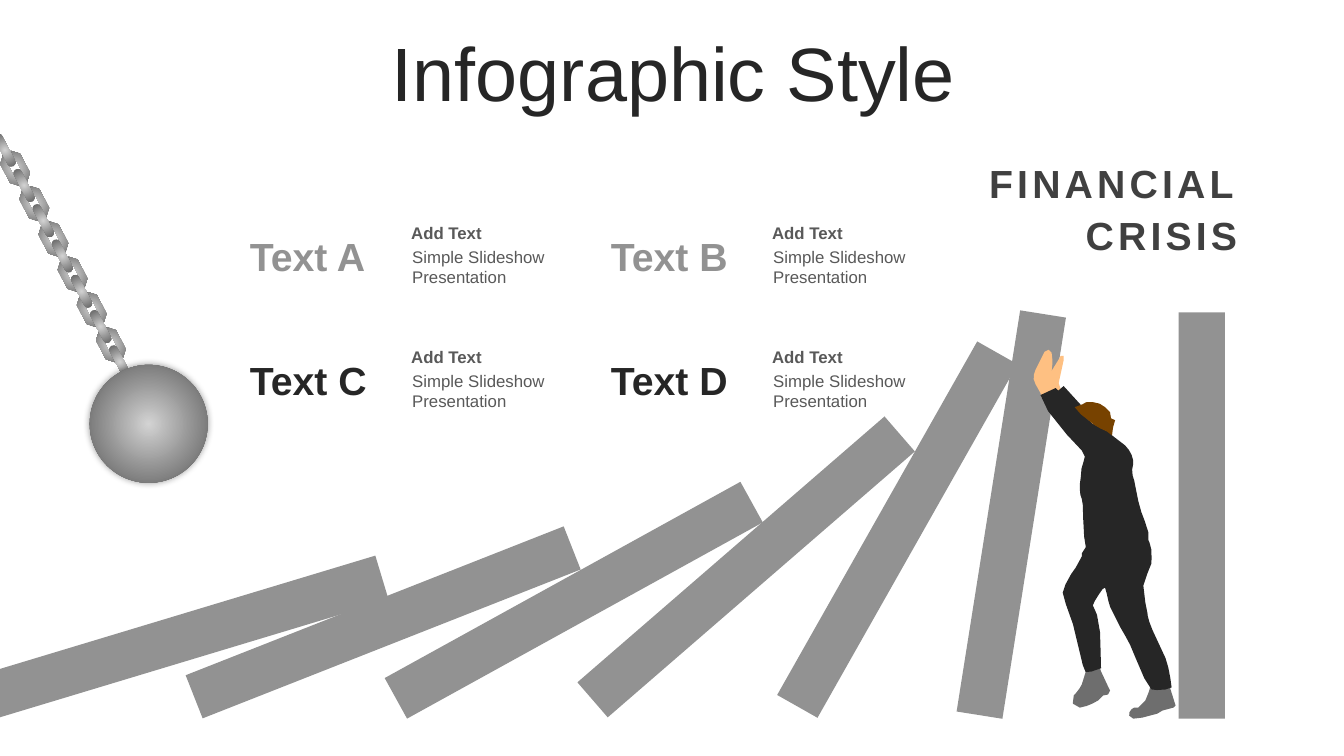
import math

import lxml.etree
import pptx
import pptx.dml.color
import pptx.enum.shapes
import pptx.enum.text
import pptx.oxml.ns
import pptx.util

Inches = pptx.util.Inches
qn = pptx.oxml.ns.qn
Kind = pptx.enum.shapes.MSO_SHAPE
Align = pptx.enum.text.PP_ALIGN
Anchor = pptx.enum.text.MSO_ANCHOR

THEME = {
    "font": "Arial",
    "grey": "929292", "dark": "262626", "body": "595959", "crisis": "404040",
    "boot": "6E6E6E", "skin": "FEC082", "hair": "774200",
    "metal": ("D3D3D3", "6E6E6E"),
    "title_size": 54, "label_size": 28, "body_size": 12,
}


def paint(shape, colour):
    """Fill with a theme colour; a pair of colours becomes a round gradient."""
    shape.shadow.inherit = False
    shape.line.fill.background()
    value = THEME[colour]
    if isinstance(value, str):
        shape.fill.solid()
        shape.fill.fore_color.rgb = pptx.dml.color.RGBColor.from_string(value)
        return
    shape.fill.gradient()
    for stop, tone, position in zip(shape.fill.gradient_stops, value, (0, 0.83)):
        stop.color.rgb = pptx.dml.color.RGBColor.from_string(tone)
        stop.position = position
    gradient = shape._element.spPr.find(qn("a:gradFill"))
    gradient.remove(gradient.find(qn("a:lin")))
    circle = lxml.etree.SubElement(gradient, qn("a:path"), path="circle")
    lxml.etree.SubElement(circle, qn("a:fillToRect"), l="50000", t="50000", r="50000", b="50000")


def write(box, words, size, colour, bold=False, anchor=Anchor.TOP, **paragraph_format):
    """Put one formatted paragraph in a box and return its run."""
    frame = box.text_frame
    frame.word_wrap = True
    frame.vertical_anchor = anchor
    paragraph = frame.paragraphs[0]
    for name, value in paragraph_format.items():
        setattr(paragraph, name, value)
    run = paragraph.add_run()
    run.text = words
    font_format = {"name": THEME["font"], "size": pptx.util.Pt(THEME[size]), "bold": bold}
    for name, value in font_format.items():
        setattr(run.font, name, value)
    run.font.color.rgb = pptx.dml.color.RGBColor.from_string(THEME[colour])
    return run


deck = pptx.Presentation()
deck.slide_width, deck.slide_height = Inches(13.33), Inches(7.5)
slide = deck.slides.add_slide(deck.slide_layouts[5])
shapes = slide.shapes

# Title
title = shapes.title
title_place = {"left": 0.35, "top": 0.37, "width": 12.66, "height": 0.79}
for name, value in title_place.items():
    setattr(title, name, Inches(value))
write(title, "Infographic Style", "title_size", "dark", anchor=Anchor.MIDDLE,
      alignment=Align.CENTER, line_spacing=0.9, space_before=0)

# Falling dominoes: left, top, tilt
DOMINO_WIDTH, DOMINO_HEIGHT = 0.46, 4.03
dominoes = [
    (9.8, 3.09, 9), (11.69, 3.1, 0), (8.67, 3.24, 29.5), (7.17, 3.61, 49.1),
    (5.46, 3.94, 61.1), (3.57, 4.16, 68.5), (1.63, 4.3, 73.2),
]
for left, top, tilt in dominoes:
    domino = shapes.add_shape(Kind.RECTANGLE, Inches(left), Inches(top),
                              Inches(DOMINO_WIDTH), Inches(DOMINO_HEIGHT))
    domino.rotation = tilt
    paint(domino, "grey")

# Man holding the dominoes: colour, start, then curves (six numbers) or lines (two)
front_boot = ("boot", (11.6, 6.8), [
    (11.41, 6.81), (11.4, 6.86, 11.38, 6.9, 11.36, 6.95), (11.29, 7.02), (11.25, 7.02),
    (11.22, 7.03, 11.19, 7.07, 11.2, 7.1), (11.24, 7.13), (11.33, 7.12), (11.48, 7.08),
    (11.53, 7.05), (11.64, 7.02), (11.66, 7), (11.61, 6.84)])
back_boot = ("boot", (10.77, 6.66), [
    (10.78, 6.65), (10.85, 6.64), (10.91, 6.63), (10.92, 6.66), (10.99, 6.81),
    (11.01, 6.85), (10.99, 6.89), (10.94, 6.9), (10.89, 6.95),
    (10.84, 6.98, 10.78, 7.01, 10.71, 7.02), (10.64, 6.98), (10.65, 6.9),
    (10.68, 6.87, 10.71, 6.83, 10.73, 6.79)])
trousers = ("dark", (10.81, 5.37), [
    (10.99, 5.31), (11.28, 5.25), (11.34, 5.28), (11.4, 5.38),
    (11.43, 5.44, 11.42, 5.54, 11.42, 5.59), (11.38, 5.69), (11.34, 5.81), (11.36, 5.98),
    (11.38, 6.08), (11.38, 6.1, 11.39, 6.16, 11.43, 6.25), (11.56, 6.53),
    (11.59, 6.61, 11.61, 6.73, 11.62, 6.82), (11.59, 6.85, 11.44, 6.85, 11.42, 6.84),
    (11.37, 6.82, 11.24, 6.46, 11.21, 6.4), (11.19, 6.35, 11.08, 6.18, 11.07, 6.14),
    (11.01, 6.02), (10.99, 5.97, 10.98, 5.88, 10.96, 5.83),
    (10.95, 5.81, 10.89, 5.91, 10.86, 5.96), (10.81, 6.02, 10.86, 6.02, 10.88, 6.1),
    (10.93, 6.24, 10.91, 6.51, 10.92, 6.63), (10.79, 6.67, 10.76, 6.71, 10.74, 6.6),
    (10.63, 6.04, 10.55, 6, 10.54, 5.88), (10.54, 5.83, 10.64, 5.66, 10.67, 5.63),
    (10.73, 5.52), (10.73, 5.49), (10.8, 5.38)])
arm = ("skin", (10.88, 4.2), [
    (10.75, 4.44), (10.73, 4.46), (10.69, 4.42), (10.46, 4.14), (10.33, 3.94),
    (10.32, 3.9), (10.27, 3.81), (10.24, 3.76, 10.25, 3.72, 10.27, 3.67), (10.36, 3.49),
    (10.4, 3.47), (10.43, 3.5), (10.44, 3.56, 10.44, 3.62, 10.43, 3.68), (10.51, 3.55),
    (10.52, 3.53), (10.55, 3.53), (10.55, 3.57), (10.5, 3.8), (10.52, 3.86),
    (10.69, 4.01), (10.86, 4.17)])
jacket = ("dark", (11.03, 4.32), [
    (11.16, 4.42), (11.2, 4.46, 11.23, 4.51, 11.24, 4.57), (11.24, 4.6),
    (11.22, 4.66, 11.23, 4.72, 11.25, 4.77), (11.29, 4.97), (11.32, 5.08),
    (11.34, 5.14, 11.42, 5.31, 11.39, 5.37), (11.13, 5.42),
    (11.01, 5.45, 10.83, 5.48, 10.77, 5.43), (10.75, 5.41, 10.74, 5.07, 10.74, 5.01),
    (10.73, 4.95), (10.71, 4.92, 10.71, 4.85, 10.71, 4.81),
    (10.73, 4.72, 10.71, 4.66, 10.75, 4.57), (10.76, 4.53), (10.73, 4.47),
    (10.65, 4.4, 10.29, 3.99, 10.32, 3.92), (10.47, 3.85), (10.83, 4.2),
    (10.95, 4.27, 11, 4.27, 11.03, 4.32)])
sleeve = ("dark", (10.48, 3.89), [(10.55, 3.83), (10.75, 4.05), (10.68, 4.11)])
hair = ("hair", (10.86, 4.22), [
    (10.72, 4.11), (10.66, 4.04), (10.74, 4.01), (10.77, 3.98, 10.8, 3.99, 10.84, 3.99),
    (10.91, 3.99, 10.97, 4.04, 11.01, 4.09), (11.02, 4.15), (11.06, 4.17), (11.04, 4.24),
    (11.03, 4.32), (10.99, 4.27, 10.91, 4.26, 10.86, 4.22)])
CURVE_STEPS = 3
for colour, start, bends in (front_boot, back_boot, trousers, arm, jacket, sleeve, hair):
    outline = shapes.build_freeform(Inches(start[0]), Inches(start[1]))
    for bend in bends:
        knots = [start, *zip(bend[::2], bend[1::2])]
        degree = len(knots) - 1
        steps = CURVE_STEPS if degree > 1 else 1
        for t in (step / steps for step in range(1, steps + 1)):
            weights = [math.comb(degree, i) * t**i * (1 - t)**(degree - i) for i in range(degree + 1)]
            x, y = (sum(w * knot[axis] for w, knot in zip(weights, knots)) for axis in (0, 1))
            outline.add_line_segments([(Inches(x), Inches(y))], close=False)
        start = knots[-1]
    outline.add_line_segments([], close=True)
    paint(outline.convert_to_shape(), colour)

# Chain: ring links first, then the pins that join them
CHAIN_TILT, PITCH_X, PITCH_Y = 332.3, 0.19, 0.35
LINK_X, LINK_Y, LINK_STRAIGHT = 0.15, 1.67, 0.06
for number in range(6):
    middle_x, middle_y = LINK_X + number * PITCH_X, LINK_Y + number * PITCH_Y
    link = None
    for radius in (0.12, 0.05):
        rim = []
        for degrees in range(0, 360, 45):
            angle = math.radians(degrees + 22.5)
            end = math.copysign(LINK_STRAIGHT, math.sin(angle))
            rim.append((Inches(middle_x + radius * math.cos(angle)),
                        Inches(middle_y + end + radius * math.sin(angle))))
        if link is None:
            link = shapes.build_freeform(*rim[0])
        else:
            link.move_to(*rim[0])
        link.add_line_segments(rim[1:], close=True)
    ring = link.convert_to_shape()
    ring.rotation = CHAIN_TILT
    paint(ring, "metal")
for number in range(7):
    pin = shapes.add_shape(Kind.ROUNDED_RECTANGLE, Inches(0.01 + number * PITCH_X),
                           Inches(1.31 + number * PITCH_Y), Inches(0.08), Inches(0.36))
    pin.adjustments[0] = 0.5
    pin.rotation = CHAIN_TILT
    paint(pin, "metal")

# Wrecking ball with a soft shadow
ball = shapes.add_shape(Kind.OVAL, Inches(0.89), Inches(3.62), Inches(1.17), Inches(1.17))
paint(ball, "metal")
glow = lxml.etree.SubElement(ball._element.spPr.find(qn("a:effectLst")), qn("a:outerShdw"),
                             blurRad=str(pptx.util.Pt(5)), dist="0", dir="0", algn="ctr", rotWithShape="0")
black = lxml.etree.SubElement(glow, qn("a:srgbClr"), val="000000")
lxml.etree.SubElement(black, qn("a:alpha"), val="40000")

# Crisis heading
crisis = shapes.add_textbox(Inches(8.71), Inches(1.47), Inches(3.66), Inches(1.16))
crisis_run = write(crisis, "FINANCIAL CRISIS", "label_size", "crisis", True, Anchor.MIDDLE,
                   alignment=Align.RIGHT, line_spacing=1.1, space_before=0)
crisis_run._r.get_or_add_rPr().set("spc", "300")

# Two by two grid of labelled notes: offset in cell, size, words, type
CELL_WIDTH, CELL_HEIGHT = 3.58, 1.23
for index, letter in enumerate("ABCD"):
    row, column = divmod(index, 2)
    left, top = 2.38 + column * CELL_WIDTH, 2.16 + row * CELL_HEIGHT
    parts = [
        (0, 0.1, 1.43, 0.57, f"Text {letter}", "label_size", ("grey", "dark")[row], True),
        (1.6, 0, 1.74, 0.3, "Add Text", "body_size", "body", True),
        (1.61, 0.24, 1.74, 0.5, "Simple Slideshow Presentation", "body_size", "body", False),
    ]
    for dx, dy, width, height, words, size, colour, bold in parts:
        note = shapes.add_textbox(Inches(left + dx), Inches(top + dy), Inches(width), Inches(height))
        write(note, words, size, colour, bold)

deck.save("out.pptx")
